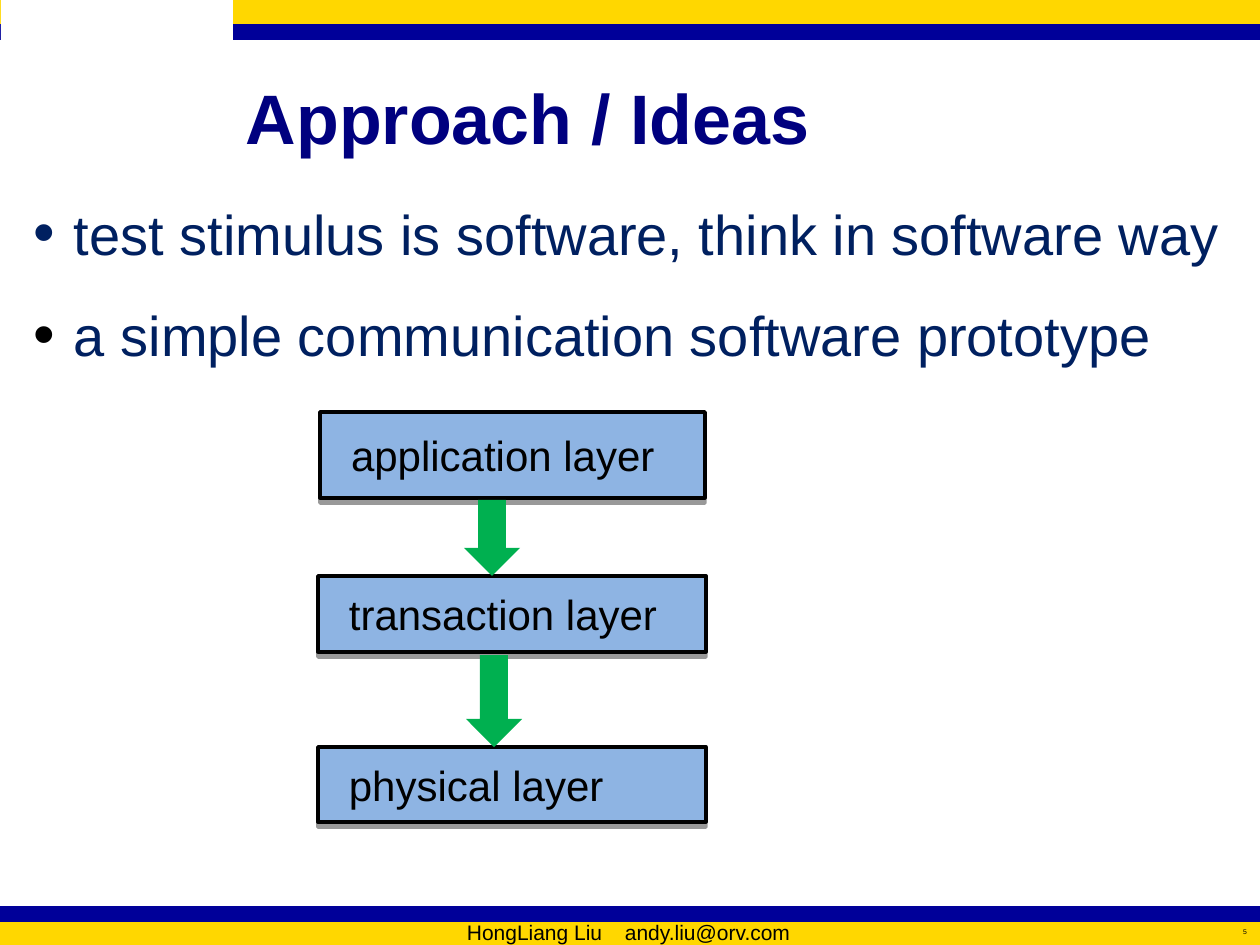
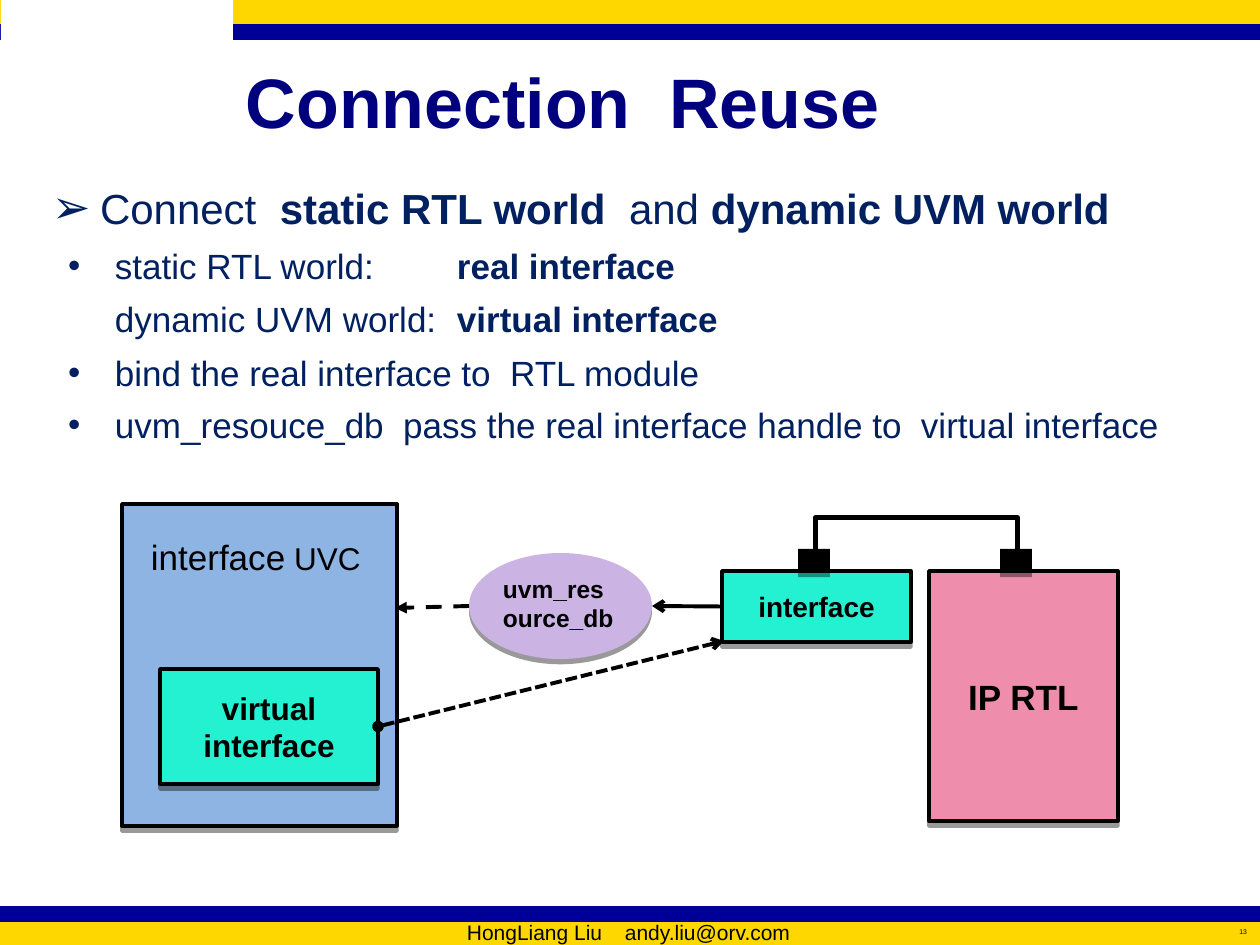
import pptx
import pptx.util
import pptx.dml.color
import pptx.enum.dml
import pptx.enum.shapes
import pptx.enum.text
import pptx.oxml
import pptx.oxml.ns
import lxml.etree

RGB = pptx.dml.color.RGBColor
GOLD = RGB(0xFF, 0xD7, 0x00)
BLUE = RGB(0x00, 0x00, 0x99)
WHITE = RGB(0xFF, 0xFF, 0xFF)
BLACK = RGB(0x00, 0x00, 0x00)
NAVY = RGB(0x00, 0x00, 0x7F)
INK = RGB(0x00, 0x20, 0x60)
SKY = RGB(0x8E, 0xB4, 0xE3)
GREEN = RGB(0x00, 0xB0, 0x50)
PINK = RGB(0xEE, 0x8E, 0xAC)
AQUA = RGB(0x23, 0xF1, 0xD1)
LILAC = RGB(0xCB, 0xB4, 0xE3)

FONT = "Arial"
SCALE = 914400 / 126
SHAPE = pptx.enum.shapes.MSO_SHAPE
LINK = pptx.enum.shapes.MSO_CONNECTOR
DASH = pptx.enum.dml.MSO_LINE
ALIGN = pptx.enum.text.PP_ALIGN
MIDDLE = pptx.enum.text.MSO_ANCHOR.MIDDLE
FIT = pptx.enum.text.MSO_AUTO_SIZE.NONE


def px(num):
    return pptx.util.Emu(round(num * SCALE))


def put(item, vals):
    for name, val in vals.items():
        setattr(item, name, val)


def add_tag(parent, label, **vals):
    tag = lxml.etree.SubElement(parent, pptx.oxml.ns.qn(label))
    for key, val in vals.items():
        tag.set(key, str(val))
    return tag


def place(item, box):
    put(item, dict(zip(("left", "top", "width", "height"), map(px, box))))


def set_frame(frame, anchor=None, left=13, right=13):
    put(frame, dict(word_wrap=True, auto_size=FIT, margin_left=px(left),
                    margin_right=px(right), margin_top=px(6),
                    margin_bottom=px(6)))
    if anchor is not None:
        frame.vertical_anchor = anchor


def add_run(para, text, size, color=BLACK, bold=False):
    run = para.add_run()
    run.text = text
    put(run.font, dict(name=FONT, size=pptx.util.Pt(size), bold=bold))
    run.font.color.rgb = color


def add_runs(para, parts, size, color):
    """Write plain and bold parts in turn; a newline part breaks the line."""
    bold = False
    for part in parts:
        if part == "\n":
            para.add_line_break()
            continue
        add_run(para, part, size, color, bold)
        bold = not bold


def set_tab(para, stop):
    tabs = add_tag(para._p.get_or_add_pPr(), "a:tabLst")
    add_tag(tabs, "a:tab", pos=px(stop), algn="l")


def set_mark(para, mark, color, percent, left, hang):
    props = para._p.get_or_add_pPr()
    props.set("marL", str(px(left)))
    props.set("indent", str(-px(hang)))
    add_tag(add_tag(props, "a:buClr"), "a:srgbClr", val=color)
    add_tag(props, "a:buSzPct", val=percent * 1000)
    add_tag(props, "a:buFont", typeface=FONT)
    add_tag(props, "a:buChar", char=mark)


def add_head(slide, text, high):
    title = slide.shapes.title
    place(title, (233, 38, 1008, high))
    set_frame(title.text_frame, MIDDLE)
    para = title.text_frame.paragraphs[0]
    para.alignment = ALIGN.LEFT
    add_run(para, text, 40, NAVY, True)


def add_text(slide, box, **look):
    item = slide.shapes.add_textbox(*map(px, box))
    set_frame(item.text_frame, **look)
    return item.text_frame.paragraphs[0]


def add_shape(slide, kind, box, fill, edge=False, shade=True):
    item = slide.shapes.add_shape(kind, *map(px, box))
    item.fill.solid()
    item.fill.fore_color.rgb = fill
    if edge:
        item.line.color.rgb = BLACK
        item.line.width = pptx.util.Pt(2)
    else:
        item.line.fill.background()
    item.shadow.inherit = False
    if shade:
        effect = item.element.spPr.find(pptx.oxml.ns.qn("a:effectLst"))
        drop = add_tag(effect, "a:outerShdw", blurRad=0,
                       dist=pptx.util.Pt(3), dir=5400000, rotWithShape=0)
        add_tag(add_tag(drop, "a:srgbClr", val=BLACK), "a:alpha", val=40000)
    return item


def add_box(slide, box, fill, text="", size=18, align=ALIGN.CENTER, bold=True):
    item = add_shape(slide, SHAPE.RECTANGLE, box, fill, edge=True)
    if text:
        set_frame(item.text_frame, MIDDLE, 31, 31)
        para = item.text_frame.paragraphs[0]
        para.alignment = align
        add_run(para, text, size, bold=bold)
    return item


def add_line(slide, start, end, kind=LINK.STRAIGHT, width=2.25, dash=None,
             head=None, tail=None):
    line = slide.shapes.add_connector(kind, *map(px, start + end))
    line.line.color.rgb = BLACK
    line.line.width = pptx.util.Pt(width)
    if dash is not None:
        line.line.dash_style = dash
    props = line.element.spPr
    stroke = props.find(pptx.oxml.ns.qn("a:ln"))
    for label, tip in (("a:headEnd", head), ("a:tailEnd", tail)):
        if tip:
            add_tag(stroke, label, type=tip)
    add_tag(props, "a:effectLst")
    return line


def add_bridge(slide, start, end, bend):
    """Draw an elbow turned by 90 degrees, so that it leaves upward."""
    line = add_line(slide, start, end, LINK.ELBOW, 3)
    props = line.element.spPr
    props.find(pptx.oxml.ns.qn("a:xfrm")).set("rot", "5400000")
    shape = props.find(pptx.oxml.ns.qn("a:prstGeom"))
    for old in list(shape):
        shape.remove(old)
    add_tag(add_tag(shape, "a:avLst"), "a:gd", name="adj1",
            fmla=f"val {bend * 100000}")


def add_bands(slide, page):
    for box, fill in (((0, 0, 1260, 24), GOLD), ((0, 24, 1260, 16), BLUE),
                      ((1, 0, 232, 136), WHITE), ((0, 921, 1260, 24), GOLD),
                      ((0, 906, 1260, 16), BLUE)):
        add_shape(slide, SHAPE.RECTANGLE, box, fill, shade=False)
    para = add_text(slide, (158, 921, 955, 22), anchor=MIDDLE, left=309)
    set_tab(para, 158)
    add_run(para, "HongLiang Liu\tandy.liu@orv.com", 12)
    para = add_text(slide, (1134, 921, 126, 22), anchor=MIDDLE)
    para.alignment = ALIGN.RIGHT
    add_run(para, page, 3.9)


def new_slide(deck, title, high, page):
    slide = deck.slides.add_slide(deck.slide_layouts[1])
    add_bands(slide, page)
    add_head(slide, title, high)
    return slide


def get_body(slide, box):
    body = slide.placeholders[1]
    place(body, box)
    set_frame(body.text_frame)
    return body.text_frame


def draw_ideas(deck):
    slide = new_slide(deck, "Approach / Ideas", 158, "5")
    first = get_body(slide, (21, 193, 1218, 93)).paragraphs[0]
    second = add_text(slide, (21, 295, 1218, 86))
    for para, color, text in (
            (first, INK, "test stimulus is software, think in software way"),
            (second, BLACK, "a simple communication software prototype")):
        set_mark(para, "•", color, 110, 40, 40)
        para.space_before = pptx.util.Pt(0)
        add_run(para, text, 32, INK)

    for layer, box in (("application", (320, 412, 385, 86)),
                       ("transaction", (318, 576, 388, 76)),
                       ("physical", (318, 747, 388, 75))):
        add_box(slide, box, SKY, f"{layer} layer", 24, ALIGN.LEFT, False)
    for box in ((464, 500, 56, 76), (466, 655, 56, 92)):
        add_shape(slide, SHAPE.DOWN_ARROW, box, GREEN, shade=False)


def fill_points(slide):
    frame = get_body(slide, (39, 176, 1183, 277))
    para = frame.paragraphs[0]
    set_mark(para, "➢", INK, 110, 48, 48)
    para.space_before = pptx.util.Pt(0)
    add_runs(para, ("Connect  ", "static RTL world  ", "and ",
                    "dynamic UVM world"), 24, INK)
    for parts, gap in (
            (("static RTL world:\t", "real interface", "\n",
              "dynamic UVM world:\t", "virtual interface"), 1),
            (("bind the real interface to  RTL module",), 1),
            (("uvm_resouce_db  pass the real interface handle to"
              "  virtual interface",), 0)):
        para = frame.add_paragraph()
        para.level = 1
        set_mark(para, "•", INK, 100, 63, 47)
        if len(parts) > 1:
            set_tab(para, 405)
        put(para, dict(line_spacing=1.25, space_before=pptx.util.Pt(gap)))
        add_runs(para, parts, 20, INK)


def draw_reuse(deck):
    slide = new_slide(deck, "Connection  Reuse", 126, "13")
    fill_points(slide)

    add_box(slide, (122, 504, 275, 322), SKY)
    label = add_text(slide, (121, 529, 275, 55), left=30)
    add_run(label, "interface", 20)
    add_run(label, " UVC", 18)
    add_box(slide, (929, 571, 189, 250), PINK, "IP RTL", 20)
    inner = add_box(slide, (160, 669, 218, 115), AQUA, "virtual interface")
    outer = add_box(slide, (722, 571, 189, 71), AQUA, "interface", 16)

    for left in (798, 1000):
        add_shape(slide, SHAPE.RECTANGLE, (left, 549, 32, 23), BLACK)
    add_bridge(slide, (917, 651), (916, 449), 33)

    add_shape(slide, SHAPE.OVAL, (469, 553, 183, 106), LILAC)
    label = add_text(slide, (490, 568, 141, 72))
    add_run(label, "uvm_resource_db", 14, bold=True)

    line = add_line(slide, (378, 727), (724, 641), dash=DASH.SQUARE_DOT,
                    head="oval", tail="arrow")
    line.begin_connect(inner, 3)
    line = add_line(slide, (722, 607), (652, 606), tail="arrow")
    line.begin_connect(outer, 1)
    add_line(slide, (469, 606), (395, 608), dash=DASH.DASH, tail="triangle")


def main():
    deck = pptx.Presentation()
    put(deck, dict(slide_width=px(1260), slide_height=px(945)))
    draw_ideas(deck)
    draw_reuse(deck)
    deck.save("out.pptx")


if __name__ == "__main__":
    main()
